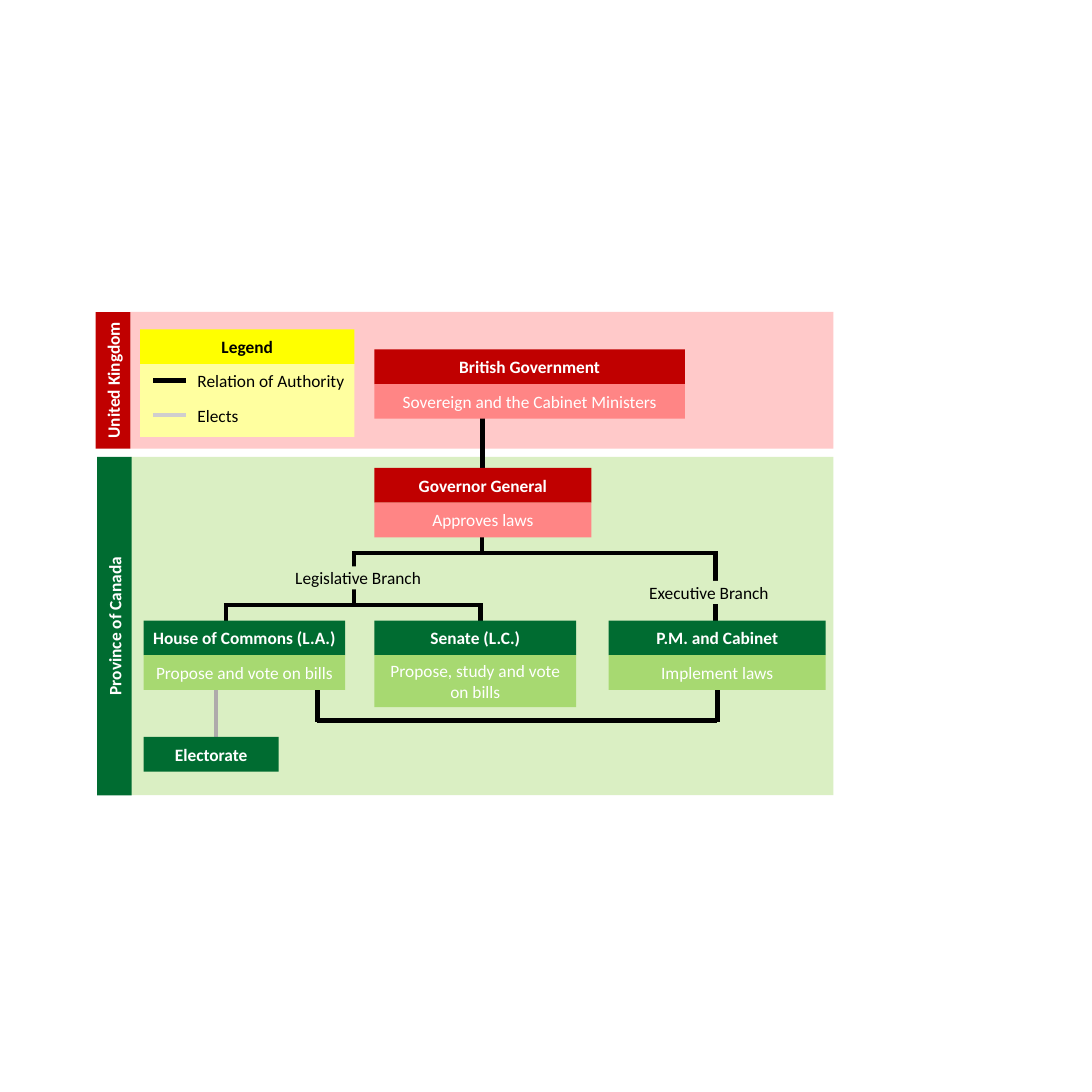
import pptx
import pptx.util
import pptx.dml.color
import pptx.enum.shapes
import pptx.enum.text
import pptx.oxml.ns
from lxml import etree

Inches, Pt = pptx.util.Inches, pptx.util.Pt
ALIGN, ANCHOR = pptx.enum.text.PP_ALIGN, pptx.enum.text.MSO_ANCHOR

# Content
COLORS = {
    "red": "C00000", "rose": "FF8585", "pink": "FFC9C9",
    "green": "006C31", "lime": "A7D971", "pale": "DAEFC3",
    "yellow": "FFFF00", "cream": "FFFF9F",
    "black": "000000", "white": "FFFFFF", "gray": "AFABAB", "silver": "D0CECE",
}
ROW = 0.5    # height of a title row, width of a side bar
COL = 5.4    # left edge of the middle column

# name, top, height, bar left, bar color, band color
BANDS = [
    ("Province of Canada", 6.59, 4.88, 1.4, "green", "pale"),
    ("United Kingdom", 4.5, 1.97, 1.38, "red", "pink"),
]
# title, duty, left, top, width, duty height, title color, duty color
BODIES = [
    ("British Government", "Sovereign and the Cabinet Ministers",
     COL, 5.04, 4.48, ROW, "red", "rose"),
    ("Governor General", "Approves laws", COL, 6.75, 3.13, ROW, "red", "rose"),
    ("House of Commons (L.A.)", "Propose and vote on bills",
     2.07, 8.95, 2.91, ROW, "green", "lime"),
    ("Senate (L.C.)", "Propose, study and vote on bills",
     COL, 8.95, 2.91, 0.75, "green", "lime"),
    ("P.M. and Cabinet", "Implement laws", 8.78, 8.95, 3.13, ROW, "green", "lime"),
    ("Electorate", None, 2.07, 10.63, 1.95, ROW, "green", None),
]
# name, left, top
BRANCHES = [("Legislative Branch", 4.07, 8.17), ("Executive Branch", 9.13, 8.38)]
# x1, y1, x2, y2, color
LINKS = [
    (3.12, 9.85, 3.12, 10.63, "gray"),       # electorate to house
    (6.96, 6.01, 6.96, 6.75, "black"),       # crown to governor
    (6.95, 7.48, 6.95, 7.99, "black"),       # governor to branches
    (5.08, 7.98, 10.34, 7.98, "black"),
    (10.32, 7.95, 10.32, 9.22, "black"),
    (5.11, 7.98, 5.11, 8.73, "black"),
    (3.23, 8.73, 6.96, 8.73, "black"),       # legislature to chambers
    (6.93, 8.7, 6.93, 9.45, "black"),
    (3.26, 8.7, 3.26, 9.45, "black"),
    (4.58, 9.95, 4.58, 10.42, "black"),      # house to cabinet
    (4.57, 10.39, 10.34, 10.39, "black"),
    (10.35, 9.95, 10.35, 10.42, "black"),
]
# label, line color, label width, label height
KEYS = [("Relation of Authority", "black", 2.47, 0.4), ("Elects", "silver", 1.16, 0.56)]

prs = pptx.Presentation()
prs.slide_width = prs.slide_height = Inches(15.75)
shapes = prs.slides.add_slide(prs.slide_layouts[6]).shapes


def rgb(name):
    return pptx.dml.color.RGBColor.from_string(COLORS[name])


def write(frame, text, color, bold, align):
    para = frame.paragraphs[0]
    para.alignment = align
    run = para.add_run()
    run.text = text
    run.font.name, run.font.size, run.font.bold = "Calibri", Pt(18), bold
    run.font.color.rgb = rgb(color)


def box(left, top, width, height, fill, text=None, color="white", bold=False):
    shape = shapes.add_shape(pptx.enum.shapes.MSO_SHAPE.RECTANGLE,
                             *map(Inches, (left, top, width, height)))
    shape.shadow.inherit = False
    shape.fill.solid()
    shape.fill.fore_color.rgb = rgb(fill)
    shape.line.fill.background()
    if text:
        frame = shape.text_frame
        frame.word_wrap = True
        frame.vertical_anchor = ANCHOR.MIDDLE
        write(frame, text, color, bold, ALIGN.CENTER)
    return shape


def link(x1, y1, x2, y2, color):
    line = shapes.add_connector(pptx.enum.shapes.MSO_CONNECTOR.STRAIGHT,
                                *map(Inches, (x1, y1, x2, y2)))
    line.line.color.rgb = rgb(color)
    line.line.width = Pt(4.5)
    etree.SubElement(line._element.spPr, pptx.oxml.ns.qn("a:effectLst"))


# Bands, each with an upright side bar
for name, top, height, left, dark, light in BANDS:
    box(1.88, top, 10.14, height, light)
    bar = box(left + (ROW - height) / 2, top + (height - ROW) / 2, height, ROW,
              dark, name, bold=True)
    bar.rotation = 270

# Links, then the branch names and bodies that cover their ends
for ends in LINKS:
    link(*ends)
for name, left, top in BRANCHES:
    box(left, top, 2.19, 0.33, "pale", name, "black")
for title, duty, left, top, width, height, dark, light in BODIES:
    box(left, top, width, ROW, dark, title, bold=True)
    if duty:
        box(left, top + ROW, width, height, light, duty)

# Legend
box(2.02, 5.25, 3.09, 1.05, "cream")
box(2.02, 4.75, 3.09, ROW, "yellow", "Legend", "black", True)
for i, (label, color, width, height) in enumerate(KEYS):
    mid = 5.49 + i * ROW
    link(2.21, mid, 2.69, mid, color)
    note = shapes.add_textbox(*map(Inches, (2.75, mid - 0.2, width, height)))
    note.text_frame.word_wrap = False
    write(note.text_frame, label, "black", False, ALIGN.LEFT)

prs.save("out.pptx")
